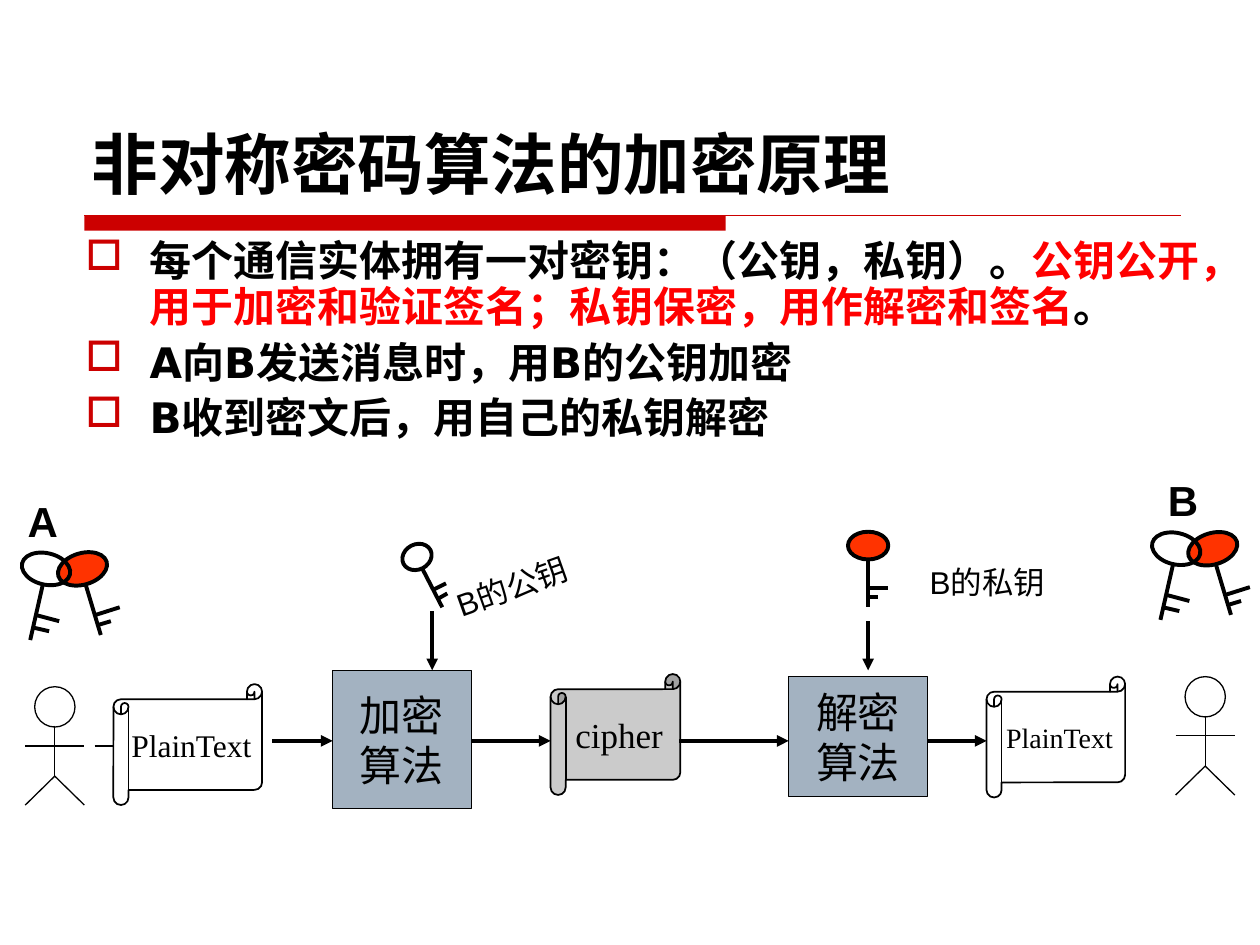
from lxml import etree
from pptx import Presentation
from pptx.dml.color import RGBColor
from pptx.enum.shapes import MSO_CONNECTOR, MSO_SHAPE
from pptx.enum.text import MSO_ANCHOR, PP_ALIGN
from pptx.oxml.ns import qn
from pptx.util import Inches, Pt

BLACK = RGBColor(0x00, 0x00, 0x00)
DARK_RED = RGBColor(0xCC, 0x00, 0x00)
RED = RGBColor(0xFF, 0x00, 0x00)
KEY_RED = RGBColor(0xFF, 0x33, 0x00)
STEEL = RGBColor(0xA3, 0xB2, 0xC1)
GREY = RGBColor(0xCB, 0xCB, 0xCB)

RECT, OVAL = MSO_SHAPE.RECTANGLE, MSO_SHAPE.OVAL
SCROLL = MSO_SHAPE.HORIZONTAL_SCROLL
STRAIGHT = MSO_CONNECTOR.STRAIGHT
TOP, MIDDLE, BOTTOM = MSO_ANCHOR.TOP, MSO_ANCHOR.MIDDLE, MSO_ANCHOR.BOTTOM
CENTER = PP_ALIGN.CENTER

WIDTH, HEIGHT = Inches(10), Inches(7.5)
COLS, ROWS = 100, 75
THIN, MEDIUM, THICK = 0.74, 0.99, 2.24
FLOW_ROW = 58.8

BODY = [
    [("每个通信实体拥有一对密钥：（公钥，私钥）。", BLACK),
     ("公钥公开，用于加密和验证签名；私钥保密，用作解密和签名", RED),
     ("。", BLACK)],
    [("A向B发送消息时，用B的公钥加密", BLACK)],
    [("B收到密文后，用自己的私钥解密", BLACK)],
]


def x(col):
    """Turn grid columns into a length."""
    return round(WIDTH * col / COLS)


def y(row):
    """Turn grid rows into a length."""
    return round(HEIGHT * row / ROWS)


def add_run(p, text, size, font, color=BLACK, bold=False):
    """Append one run, with its font set for Latin and East Asian text."""
    r = p.add_run()
    r.text = text
    r.font.size, r.font.name, r.font.bold = Pt(size), font, bold
    r.font.color.rgb = color
    latin = r.font._element.find(qn("a:latin"))
    ea = etree.Element(qn("a:ea"), typeface=font)
    latin.addnext(ea)


def add_bullet(p, indent):
    """Give a paragraph a hanging red square bullet."""
    pPr = p._p.get_or_add_pPr()
    pPr.set("marL", str(indent))
    pPr.set("indent", str(-indent))
    color = etree.SubElement(pPr, qn("a:buClr"))
    etree.SubElement(color, qn("a:srgbClr"), val=str(DARK_RED))
    etree.SubElement(pPr, qn("a:buChar"), char="□")


def add_text(s, box, anchor=TOP, rotation=0):
    """Add a wrapping text box and return its text frame."""
    left, top, width, height = box
    sp = s.shapes.add_textbox(x(left), y(top), x(width), y(height))
    sp.rotation = rotation
    tf = sp.text_frame
    tf.word_wrap, tf.vertical_anchor = True, anchor
    return tf


def add_label(s, box, text, size, before, bold=False, rotation=0):
    """Add a one-line Arial label."""
    p = add_text(s, box, rotation=rotation).paragraphs[0]
    p.space_before = Pt(before)
    add_run(p, text, size, "Arial", bold=bold)


def add_figure(s, kind, box, fill=None, line=THIN, rotation=0):
    """Add a preset shape; without a fill it is see-through."""
    left, top, width, height = box
    sp = s.shapes.add_shape(kind, x(left), y(top), x(width), y(height))
    sp.shadow.inherit = False
    sp.rotation = rotation
    if fill is None:
        sp.fill.background()
    else:
        sp.fill.solid()
        sp.fill.fore_color.rgb = fill
    if line:
        sp.line.color.rgb, sp.line.width = BLACK, Pt(line)
    else:
        sp.line.fill.background()
    return sp


def add_node(s, kind, box, lines, size, font, fill=None, line=THIN):
    """Add a step of the flow, with centred text."""
    tf = add_figure(s, kind, box, fill, line).text_frame
    tf.word_wrap, tf.vertical_anchor = False, MIDDLE
    for i, text in enumerate(lines):
        p = tf.add_paragraph() if i else tf.paragraphs[0]
        p.alignment = CENTER
        add_run(p, text, size, font)


def add_line(s, x1, y1, x2, y2, width=THIN, color=BLACK, arrow=False):
    """Add a straight line, with an arrowhead at its end if wanted."""
    c = s.shapes.add_connector(STRAIGHT, x(x1), y(y1), x(x2), y(y2))
    c.line.color.rgb, c.line.width = color, Pt(width)
    if arrow:
        etree.SubElement(c.line._get_or_add_ln(), qn("a:tailEnd"), type="triangle")
    etree.SubElement(c._element.spPr, qn("a:effectLst"))


def add_key(s, head, strokes, left=0, top=0, fill=None, rotation=0):
    """Add a key: an oval head, then its shaft and two teeth."""
    hx, hy, hw, hh = head
    add_figure(s, OVAL, (left + hx, top + hy, hw, hh), fill, THICK, rotation)
    for x1, y1, x2, y2 in strokes:
        add_line(s, left + x1, top + y1, left + x2, top + y2, THICK)


def add_key_pair(s, left, top):
    """Add a red private key with an open public key over it."""
    add_key(s, (2.85, 0, 4, 2.5),
            [(5.1, 2.5, 6.3, 6.5), (6.1, 5.7, 7.1, 5.4), (5.9, 4.9, 7.8, 4.3)],
            left, top, KEY_RED, 343.4)
    add_key(s, (0, 0, 3.9, 2.5),
            [(1.7, 2.5, 0.7, 6.9), (1.1, 4.9, 3, 5.4), (0.9, 5.9, 2.2, 6.2)],
            left, top, rotation=13.1)


def add_person(s, left, top):
    """Add a stick figure: head, arms, body and two legs."""
    mid, hip, side, foot = left + 2.35, top + 7.1, left + 4.7, top + 9.4
    add_figure(s, OVAL, (left + 0.75, top, 3.2, 3.2))
    add_line(s, left, top + 4.7, side, top + 4.7)
    add_line(s, mid, top + 3.1, mid, hip)
    for end in (left, side):
        add_line(s, mid, hip, end, foot)


def add_heading(s):
    """Add the title and the rule below it."""
    add_figure(s, RECT, (6.7, 17.1, 50.9, 1.2), DARK_RED, line=0)
    add_line(s, 6.7, 17.1, 93.7, 17.1, color=DARK_RED)
    tf = add_text(s, (6.3, 3.3, 87.5, 13.3), BOTTOM)
    add_run(tf.paragraphs[0], "非对称密码算法的加密原理", 38, "DejaVu Sans", bold=True)


def add_body(s):
    """Add the bulleted statements."""
    tf = add_text(s, (5.8, 18.6, 90.6, 18.9))
    for i, runs in enumerate(BODY):
        p = tf.add_paragraph() if i else tf.paragraphs[0]
        p.line_spacing, p.space_before = 0.9, Pt(6)
        add_bullet(p, x(5.1))
        for text, color in runs:
            add_run(p, text, 24, "DejaVu Sans", color, True)


def add_flow(s):
    """Add the steps from plain text to plain text and their arrows."""
    serif = "Times New Roman"
    add_node(s, SCROLL, (9, 54.3, 11.8, 9.6), ["PlainText"], 18, serif, line=MEDIUM)
    add_node(s, RECT, (26.4, 53.2, 11, 11), ["加密", "算法"], 24, "Arial", STEEL)
    add_node(s, SCROLL, (43.7, 53.5, 10.3, 9.6), ["cipher"], 20, serif, GREY, MEDIUM)
    add_node(s, RECT, (62.6, 53.7, 11, 9.5), ["解密", "算法"], 24, "Arial", STEEL)
    add_node(s, SCROLL, (78.3, 53.7, 11, 9.6), ["PlainText"], 16, serif, line=MEDIUM)
    add_line(s, 7.5, 59.2, 9, 59.2)
    for start, end in ((21.6, 26.4), (37.4, 43.7), (53.9, 62.6), (73.6, 78.3)):
        add_line(s, start, FLOW_ROW, end, FLOW_ROW, THICK, arrow=True)
    for col, start in ((34.3, 48.5), (68.9, 49.3)):
        add_line(s, col, start, col, 53.2, THICK, arrow=True)


def add_keys_in_use(s):
    """Add B's public and private keys above the two algorithms."""
    add_label(s, (72.8, 44.2, 16.5, 4), "B的私钥", 18, 11.2)
    add_key(s, (67.3, 42.2, 3.2, 2.2),
            [(68.9, 44.5, 68.9, 48.2), (68.9, 47.4, 69.7, 47.4),
             (68.9, 46.7, 70.5, 46.7)], fill=KEY_RED)
    add_label(s, (35, 44.2, 13.4, 4), "B的公钥", 18, 11.2, rotation=340.5)
    add_key(s, (31.9, 43.2, 2.4, 2),
            [(33.5, 45.1, 35.1, 48.2), (34.4, 46.8, 35.4, 46.3),
             (34.8, 47.5, 35.5, 47.1)], rotation=332.9)


def main():
    """Build the slide and save it."""
    prs = Presentation()
    prs.slide_width, prs.slide_height = WIDTH, HEIGHT
    s = prs.slides.add_slide(prs.slide_layouts[6])
    add_heading(s)
    add_body(s)
    add_flow(s)
    add_keys_in_use(s)
    add_label(s, (1.2, 38.8, 7.1, 5), "A", 24, 15, True)
    add_label(s, (91.7, 37.2, 7.1, 5), "B", 24, 15, True)
    for left, top in ((2, 54.5), (93.3, 53.7)):
        add_person(s, left, top)
    for left, top in ((91.4, 42.3), (1.7, 43.9)):
        add_key_pair(s, left, top)
    prs.save("out.pptx")


main()
